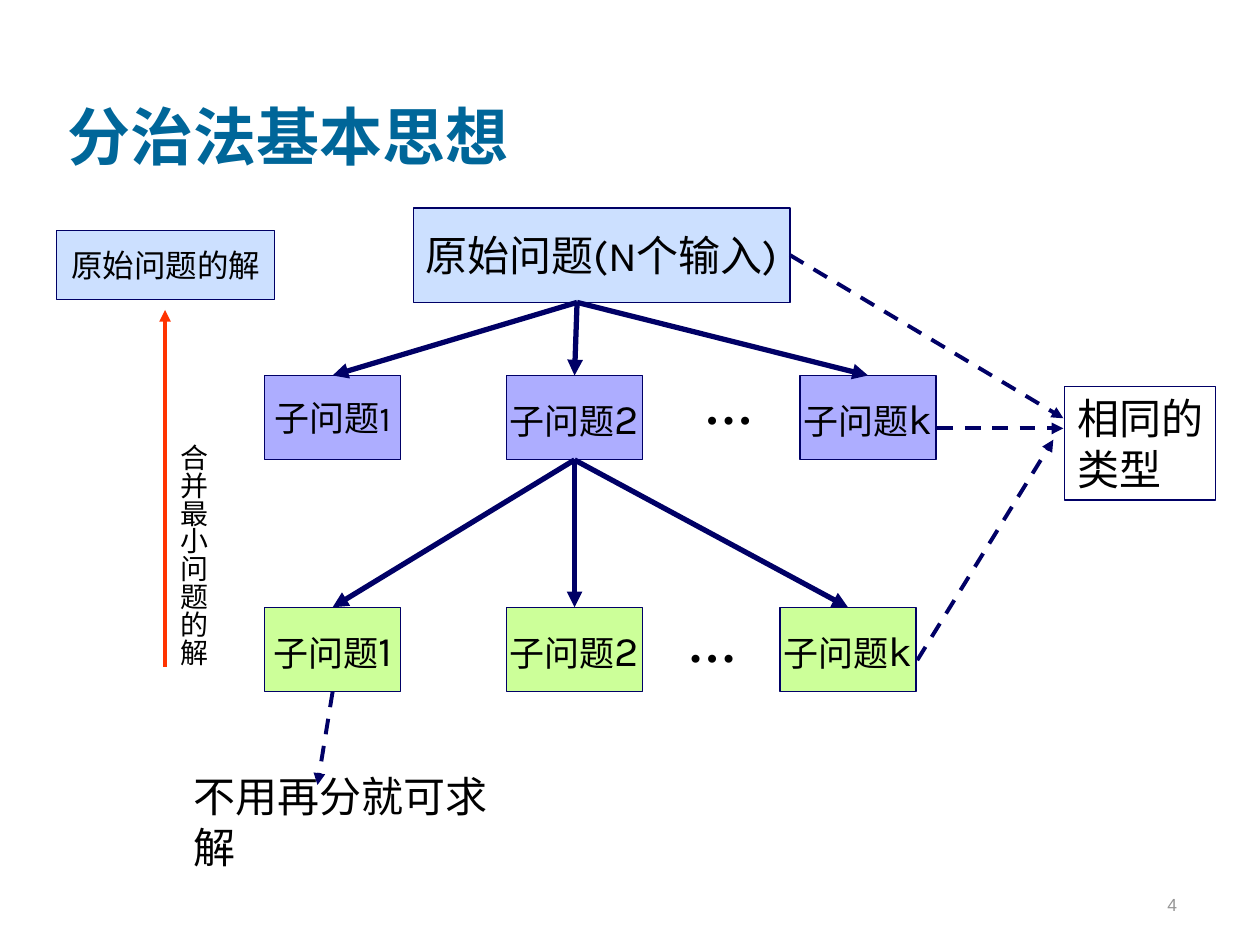
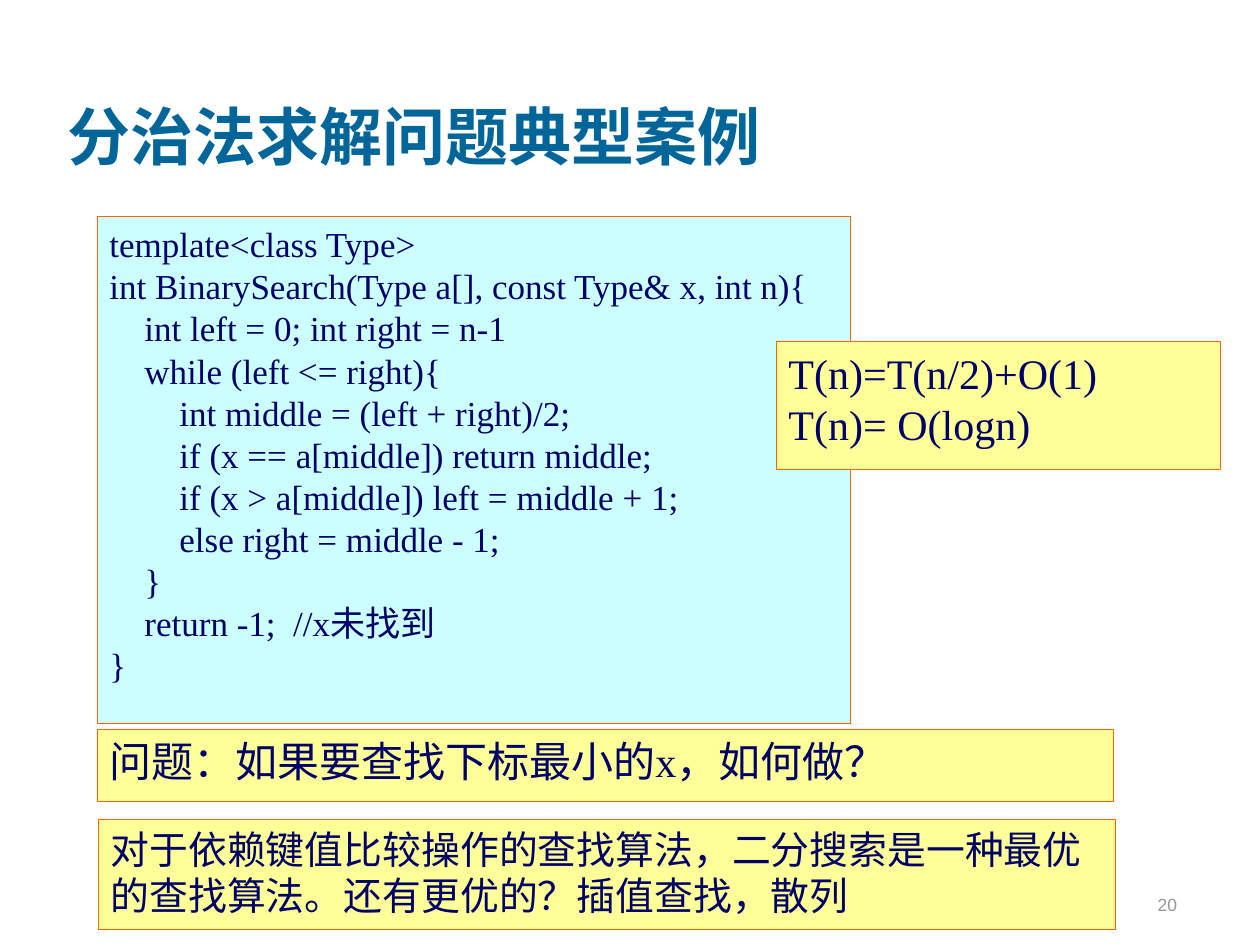
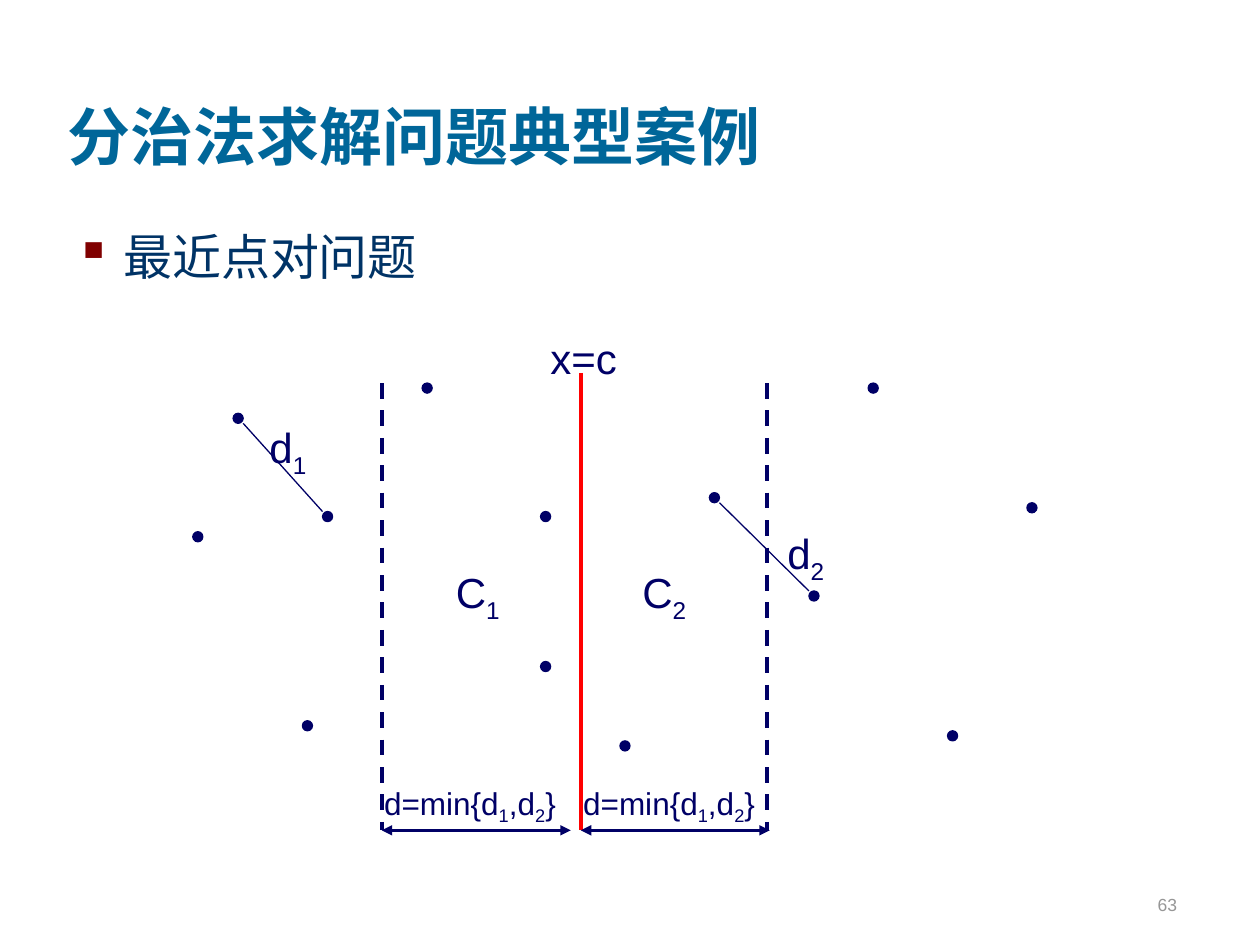
"""Build three slides on divide and conquer."""
from lxml.etree import SubElement
from pptx import Presentation
from pptx.dml.color import RGBColor
from pptx.enum.dml import MSO_LINE
from pptx.enum.shapes import MSO_CONNECTOR, MSO_SHAPE
from pptx.enum.text import MSO_ANCHOR, MSO_AUTO_SIZE, PP_ALIGN
from pptx.oxml.ns import qn
from pptx.util import Inches, Pt

HUES = {
    "title": "006699", "body": "003366", "mark": "800000", "page": "969696",
    "ink": "000066", "black": "000000", "sky": "CCE0FF", "violet": "ADADFF",
    "lime": "CCFF99", "flame": "FF3300", "red": "FF0000", "aqua": "CCFFFF",
    "cream": "FFFF99", "orange": "FF6600",
}
ROMAN, KARLA, ARIAL = "Times New Roman", "Karla", "Arial"
SIDES = {"top": 0, "right": 3, "bottom": 2}

CASES = "分治法求解问题典型案例"
CODE = [
    "template<class Type>",
    "int BinarySearch(Type a[], const Type& x, int n){",
    "    int left = 0; int right = n-1",
    "    while (left <= right){",
    "        int middle = (left + right)/2;",
    "        if (x == a[middle]) return middle;",
    "        if (x > a[middle]) left = middle + 1;",
    "        else right = middle - 1;",
    "    }",
    "    return -1;  //x未找到",
    "}",
]
PANELS = [
    (CODE, (0.77, 1.72, 5.98, 4.02), "aqua", 20),
    (["T(n)=T(n/2)+O(1)", "T(n)= O(logn)"], (6.16, 2.71, 3.53, 1.02), "cream", 24),
    (["问题：如果要查找下标最小的x，如何做？"], (0.77, 5.79, 8.07, 0.57), "cream", 24),
    (["对于依赖键值比较操作的查找算法，二分搜索是一种最优的查找算法。"
      "还有更优的？插值查找，散列"], (0.78, 6.5, 8.07, 0.88), "cream", 22.2),
]
ROWS = [
    (2.98, 6.35, "violet", ["子问题1", "子问题|2", "子问题|k"], (5.49, 2.93)),
    (4.82, 6.19, "lime", ["子问题|1", "子问题|2", "子问题|k"], (5.36, 4.82)),
]
DOTS = [
    (2.56, 4.06), (3.35, 3.04), (1.85, 3.28), (4.29, 4.06), (4.29, 5.25),
    (1.53, 4.22), (2.4, 5.72), (4.92, 5.88), (5.63, 3.91), (6.89, 3.04),
    (6.42, 4.69), (7.52, 5.8), (8.15, 3.99),
]
PAIRS = [
    ("d|1", (1.93, 3.36), (2.56, 4.06), (2.04, 3.3)),
    ("d|2", (5.71, 3.99), (6.42, 4.69), (6.15, 4.14)),
]
ZONES = [("C|1", 3.52), ("C|2", 5)]
SPANS = [(3.03, 2.95), (4.61, 4.53)]


def tint(name):
    return RGBColor.from_string(HUES[name])


def write(shape, lines, size=24, font=KARLA, hue="black", bold=False, align="LEFT",
          anchor="TOP", wrap=False, grow=False, large=None, upright=False, bullet=False):
    """Fill a shape with lines; each second piece between bars is large or lowered."""
    frame = shape.text_frame
    frame.word_wrap = wrap
    frame.auto_size = MSO_AUTO_SIZE.SHAPE_TO_FIT_TEXT if grow else MSO_AUTO_SIZE.NONE
    frame.vertical_anchor = getattr(MSO_ANCHOR, anchor)
    if upright:
        shape.element.find(".//" + qn("a:bodyPr")).set("vert", "eaVert")
        frame.margin_left = frame.margin_right = Inches(0.05)
        frame.margin_top = frame.margin_bottom = Inches(0.1)
    for num, line in enumerate(lines):
        para = frame.add_paragraph() if num else frame.paragraphs[0]
        para.alignment = getattr(PP_ALIGN, align)
        if bullet:
            props = para._p.get_or_add_pPr()
            props.set("marL", str(Inches(0.38)))
            props.set("indent", str(-Inches(0.38)))
            paint = SubElement(props, qn("a:buClr"))
            SubElement(paint, qn("a:srgbClr")).set("val", HUES["mark"])
            SubElement(props, qn("a:buChar")).set("char", "▪")
        for spot, piece in enumerate(line.split("|")):
            run = para.add_run()
            run.text = piece
            run.font.name, run.font.bold = font, bold
            run.font.size = Pt(size)
            run.font.color.rgb = tint(hue)
            if spot % 2 and large:
                run.font.size = Pt(large)
            elif spot % 2:
                run._r.get_or_add_rPr().set("baseline", "-25000")


def label(slide, lines, at, **style):
    box = slide.shapes.add_textbox(*map(Inches, at))
    write(box, lines, **style)
    return box


def block(slide, at, fill=None, edge="ink", width=0.75, kind=MSO_SHAPE.RECTANGLE):
    shape = slide.shapes.add_shape(kind, *map(Inches, at))
    shape.shadow.inherit = False
    if fill:
        shape.fill.solid()
        shape.fill.fore_color.rgb = tint(fill)
    else:
        shape.fill.background()
    shape.line.color.rgb = tint(edge)
    shape.line.width = Pt(width)
    return shape


def card(slide, text, at, fill, **style):
    shape = block(slide, at, fill)
    write(shape, [text], align="CENTER", anchor="MIDDLE", **style)
    return shape


def link(slide, start, end, hue="ink", width=2.25, dash=False, tips=""):
    """Draw a line between points or (shape, side) pairs."""
    ends = [(0, 0) if isinstance(end_[1], str) else end_ for end_ in (start, end)]
    line = slide.shapes.add_connector(
        MSO_CONNECTOR.STRAIGHT, *(Inches(num) for point in ends for num in point))
    for (item, side), join in ((start, line.begin_connect), (end, line.end_connect)):
        if isinstance(side, str):
            join(item, SIDES[side])
    line.line.color.rgb = tint(hue)
    line.line.width = Pt(width)
    if dash:
        line.line.dash_style = MSO_LINE.DASH
    for tip in tips.split():
        SubElement(line.line._get_or_add_ln(), qn("a:" + tip)).set("type", "triangle")
    SubElement(line.element.spPr, qn("a:effectLst"))


def start(deck, title, page):
    slide = deck.slides.add_slide(deck.slide_layouts[6])
    label(slide, [title], (0.44, 0.17, 8.5, 1.25), size=36, font=ROMAN, hue="title",
          bold=True, anchor="BOTTOM", wrap=True)
    label(slide, [str(page)], (7.36, 6.81, 2.08, 0.5), size=10, font=ARIAL, hue="page",
          align="RIGHT", anchor="BOTTOM", wrap=True)
    return slide


def tree(deck):
    slide = start(deck, "分治法基本思想", 4)
    root = card(slide, "原始问题(N个输入)", (3.28, 1.65, 2.99, 0.75), "sky")
    fork, cards = (4.58, 2.4), []
    for top, last, fill, names, dots in ROWS:
        row = [card(slide, name, (left, top, 1.08, 0.67), fill, size=20, large=24)
               for name, left in zip(names, (2.1, 4.02, last))]
        label(slide, ["…"], (*dots, 0.59, 0.57), size=28, font=ROMAN, bold=True, grow=True)
        for child in row:
            link(slide, fork, (child, "top"), width=3, tips="tailEnd")
        fork = (row[1], "bottom")
        cards.append(row)
    same = block(slide, (8.45, 3.07, 1.2, 0.9))
    write(same, ["相同的", "类型"], grow=True)
    note = (1.44, 6.07, 2.86, 0.5)
    label(slide, ["不用再分就可求解"], note, grow=True)
    for begin, end in (((root, "right"), (8.44, 3.32)), ((7.44, 3.4), (8.44, 3.4)),
                       ((7.28, 5.24), (8.36, 3.49)),
                       ((cards[1][0], "bottom"), (2.52, 6.23))):
        link(slide, begin, end, dash=True, tips="tailEnd")
    link(slide, (1.31, 5.29), (1.31, 2.46), hue="flame", tips="tailEnd")
    label(slide, ["合并最小问题的解"], (1.26, 3.42, 0.46, 1.88), size=16,
          upright=True, grow=True)
    card(slide, "原始问题的解", (0.45, 1.83, 1.73, 0.55), "sky", size=18, font=ROMAN)


def search(deck):
    slide = start(deck, CASES, 20)
    for lines, at, fill, size in PANELS:
        panel = block(slide, at, fill, "orange", 0.5)
        write(panel, lines, size=size, font=ROMAN, hue="ink", wrap=True)


def nearest(deck):
    slide = start(deck, CASES, 63)
    label(slide, ["最近点对问题"], (0.5, 1.75, 8.94, 4.88), size=28,
          font="TeX Gyre Pagella", hue="body", wrap=True, bullet=True)
    style = dict(font=ARIAL, hue="ink", grow=True)
    for left in (3.03, 6.09):
        link(slide, (left, 3.04), (left, 6.59), dash=True)
    for dot in DOTS:
        block(slide, (*dot, 0.08, 0.08), "ink", kind=MSO_SHAPE.OVAL)
    link(slide, (4.61, 2.96), (4.61, 6.59), hue="red")
    label(slide, ["x=c"], (4.27, 2.59, 0.73, 0.5), **style)
    for name, begin, end, at in PAIRS:
        link(slide, begin, end, width=0.75)
        label(slide, [name], (*at, 0.49, 0.56), **style)
    for left, text in SPANS:
        link(slide, (left, 6.59), (left + 1.5, 6.59), width=1.5, tips="headEnd tailEnd")
        label(slide, ["d=min{d|1|,d|2|}"], (text, 6.17, 1.73, 0.44), size=18,
              wrap=True, **style)
    for name, left in ZONES:
        label(slide, [name], (left, 4.45, 0.63, 0.56), wrap=True, **style)


def main():
    deck = Presentation()
    deck.slide_width, deck.slide_height = Inches(10), Inches(7.5)
    for build in (tree, search, nearest):
        build(deck)
    deck.save("out.pptx")


if __name__ == "__main__":
    main()
